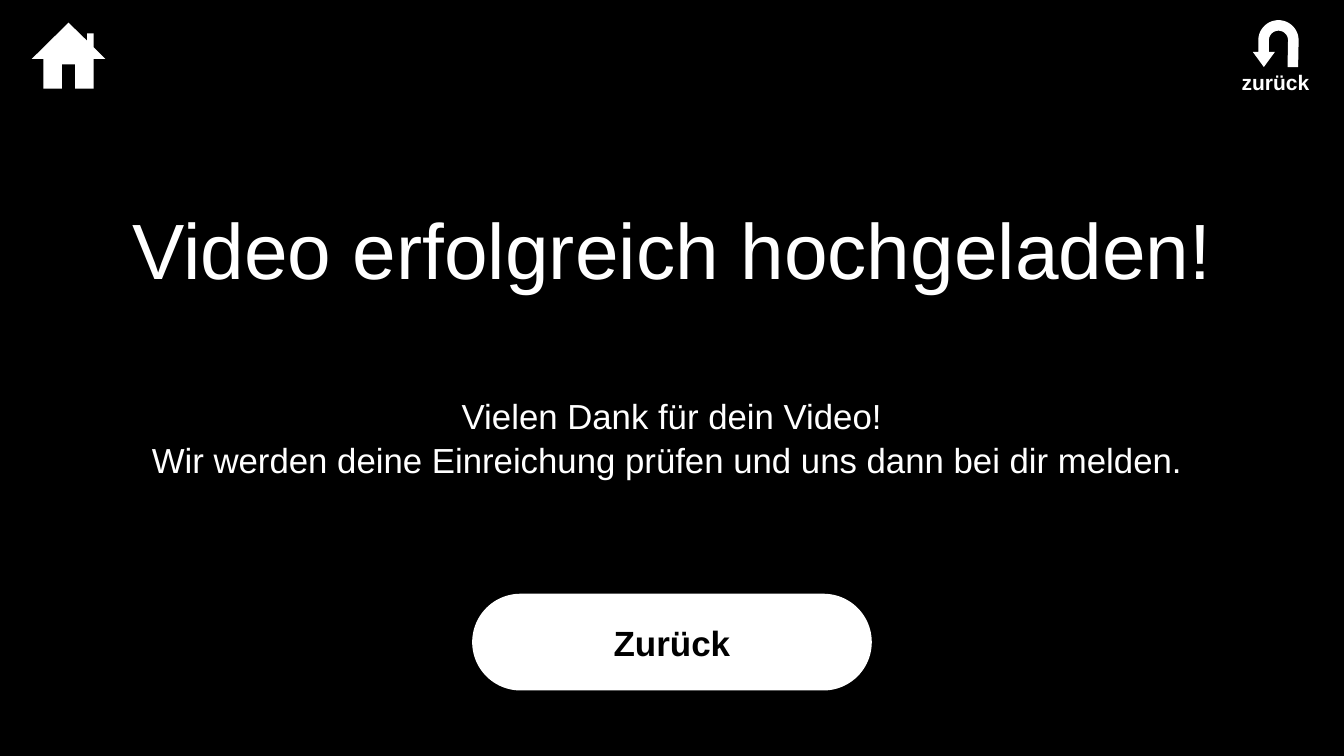
from math import cos, pi, sin

from pptx import Presentation
from pptx.dml.color import RGBColor
from pptx.enum.shapes import MSO_SHAPE
from pptx.enum.text import MSO_ANCHOR, MSO_AUTO_SIZE, PP_ALIGN
from pptx.util import Inches, Pt

COLORS = {"background": "000000", "foreground": "FFFFFF", "button_text": "000000"}
FONT = "Arial"
UNITS_PER_INCH = 1000

HOUSE = [
    (1.36, 0.45), (0.63, 1.17), (0.86, 1.17), (0.86, 1.76), (1.23, 1.76),
    (1.23, 1.28), (1.49, 1.28), (1.49, 1.76), (1.86, 1.76), (1.86, 1.17),
    (2.09, 1.17), (1.86, 0.94), (1.86, 0.66), (1.73, 0.66), (1.73, 0.81),
]


def color(name):
    return RGBColor.from_string(COLORS[name])


def paint(shape):
    shape.shadow.inherit = False
    shape.fill.solid()
    shape.fill.fore_color.rgb = color("foreground")
    shape.line.fill.background()


def write(shape, lines, size, ink="foreground", bold=False,
          anchor=MSO_ANCHOR.MIDDLE, wrap=True, spacing=1.0):
    frame = shape.text_frame
    frame.word_wrap = wrap
    frame.auto_size = MSO_AUTO_SIZE.NONE if wrap else MSO_AUTO_SIZE.SHAPE_TO_FIT_TEXT
    frame.vertical_anchor = anchor
    frame.margin_left = frame.margin_right = Inches(0.06)
    frame.margin_top = frame.margin_bottom = Inches(0.06)
    for index, line in enumerate(lines):
        paragraph = frame.add_paragraph() if index else frame.paragraphs[0]
        paragraph.alignment = PP_ALIGN.CENTER
        paragraph.line_spacing = spacing
        run = paragraph.add_run()
        run.text = line
        run.font.name = FONT
        run.font.size = Pt(size)
        run.font.bold = bold
        run.font.color.rgb = color(ink)


def add_title(slide, text):
    title = slide.shapes.title
    title.left, title.top = Inches(1.94), Inches(0.83)
    title.width, title.height = Inches(22.78), Inches(5.08)
    write(title, [text], 112, anchor=MSO_ANCHOR.BOTTOM)


def add_text(slide, left, top, width, height, lines, size, **style):
    box = slide.shapes.add_textbox(
        Inches(left), Inches(top), Inches(width), Inches(height))
    write(box, lines, size, **style)


def add_icon(slide, points):
    scaled = [(round(x * UNITS_PER_INCH), round(y * UNITS_PER_INCH))
              for x, y in points]
    builder = slide.shapes.build_freeform(
        *scaled[0], scale=Inches(1) / UNITS_PER_INCH)
    builder.add_line_segments(scaled[1:], close=True)
    paint(builder.convert_to_shape())


def add_button(slide, left, top, width, height, label):
    button = slide.shapes.add_shape(
        MSO_SHAPE.ROUNDED_RECTANGLE,
        Inches(left), Inches(top), Inches(width), Inches(height))
    button.adjustments[0] = 0.5
    paint(button)
    write(button, [label], 50, ink="button_text", bold=True)


def half_circle(center_x, center_y, radius, steps=32):
    """Points of the upper half circle, from left to right."""
    angles = [pi - pi * step / steps for step in range(steps + 1)]
    return [(center_x + radius * cos(a), center_y - radius * sin(a))
            for a in angles]


def back_arrow():
    center_x, center_y, tail_y, head_y = 25.37, 0.8, 1.33, 1.03
    outer = half_circle(center_x, center_y, 0.4)
    inner = half_circle(center_x, center_y, 0.19)
    tail = [(center_x + 0.39, tail_y), (center_x + 0.18, tail_y)]
    head = [(25.18, head_y), (25.3, head_y), (25.08, tail_y),
            (24.86, head_y), (24.97, head_y)]
    return outer + tail + inner[::-1] + head


def main():
    presentation = Presentation()
    presentation.slide_width, presentation.slide_height = Inches(26.67), Inches(15)
    slide = presentation.slides.add_slide(presentation.slide_layouts[5])
    slide.background.fill.solid()
    slide.background.fill.fore_color.rgb = color("background")

    # Message
    add_title(slide, "Video erfolgreich hochgeladen!")
    thanks = ["Vielen Dank für dein Video!",
              "Wir werden deine Einreichung prüfen und uns dann bei dir melden. "]
    add_text(slide, 1.94, 7.74, 22.78, 1.74, thanks, 49.7,
             anchor=MSO_ANCHOR.TOP, spacing=1.05)

    # Navigation
    add_icon(slide, HOUSE)
    add_button(slide, 9.37, 11.78, 7.93, 1.92, "Zurück")
    add_icon(slide, back_arrow())
    add_text(slide, 24.57, 1.33, 1.48, 0.61, ["zurück"], 30, bold=True, wrap=False)

    presentation.save("out.pptx")


if __name__ == "__main__":
    main()
